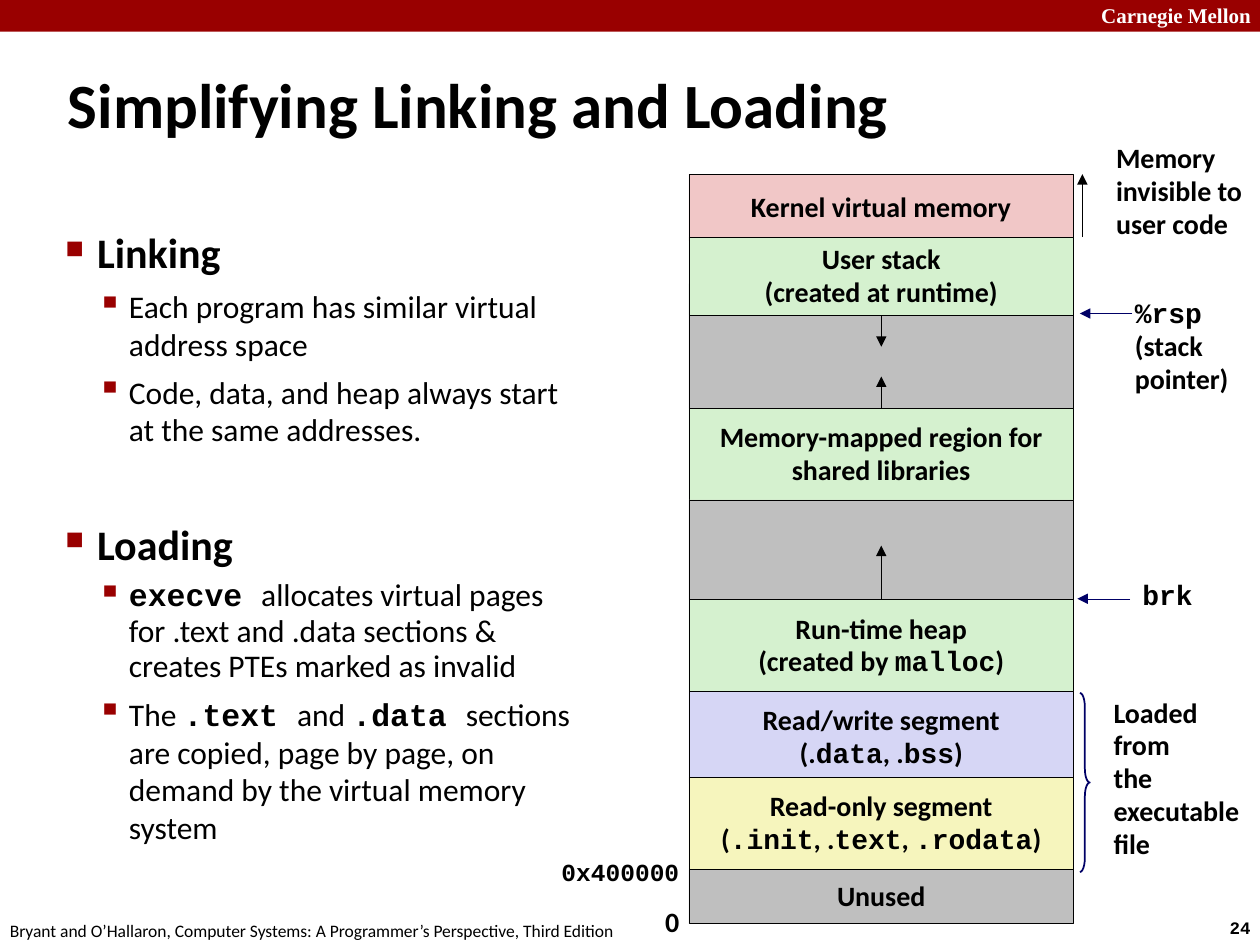
import dataclasses
import typing

import lxml.etree
import pptx
import pptx.dml.color
import pptx.enum.shapes
import pptx.enum.text
import pptx.oxml.ns
import pptx.util

Cm = pptx.util.Cm
Pt = pptx.util.Pt
Align = pptx.enum.text.PP_ALIGN
Anchor = pptx.enum.text.MSO_ANCHOR
Fit = pptx.enum.text.MSO_AUTO_SIZE
Kind = pptx.enum.shapes.MSO_SHAPE


@dataclasses.dataclass(frozen=True)
class Theme:
    sans: str = "Calibri"
    mono: str = "Courier New"
    serif: str = "Times New Roman"
    black: str = "000000"
    white: str = "FFFFFF"
    red: str = "990000"
    navy: str = "000066"
    pink: str = "F1C7C7"
    green: str = "D5F1CF"
    gray: str = "BFBFBF"
    lilac: str = "D6D6F5"
    yellow: str = "F6F5BD"
    title: int = 36
    head: int = 24
    item: int = 18
    label: int = 16
    code: int = 14
    mark: int = 12
    small: int = 10
    hair: float = 0.25
    tight: float = 0.98


THEME = Theme()


class Band(typing.NamedTuple):
    name: str
    top: float
    height: float
    fill: str
    text: str = ""


class Label(typing.NamedTuple):
    text: str
    left: float
    top: float
    width: float
    height: float
    size: int = THEME.label
    bold: bool = True
    font: str = THEME.sans
    tint: str = THEME.black
    gap: float = THEME.tight
    wrap: bool = False


class Arrow(typing.NamedTuple):
    x1: float
    y1: float
    x2: float
    y2: float
    tint: str = THEME.black
    band: str = ""
    site: int = 0


class Point(typing.NamedTuple):
    text: str
    level: int = 1
    space: float = 5.6
    gap: float = 1.0


LEFT, WIDTH = 13.89, 7.75
MID = LEFT + WIDTH / 2

BANDS = [
    Band("kernel", 3.51, 1.35, THEME.pink, "Kernel virtual memory"),
    Band("gap", 5.72, 2.51, THEME.gray),
    Band("stack", 4.78, 1.57, THEME.green, "User stack\n(created at runtime)"),
    Band("shared", 8.23, 1.85, THEME.green, "Memory-mapped region for\nshared libraries"),
    Band("room", 10.08, 2.01, THEME.gray),
    Band("heap", 12.09, 1.85, THEME.green, "Run-time heap\n(created by `malloc`)"),
    Band("data", 13.94, 1.85, THEME.lilac, "Read/write segment\n(.`data`, .`bss`)"),
    Band("code", 15.67, 1.85, THEME.yellow, "Read-only segment\n(`.init`, .`text`, `.rodata`)"),
    Band("unused", 17.53, 1.09, THEME.gray, "Unused"),
]

LABELS = [
    Label("Carnegie Mellon", 21.95, -0.08, 3.63, 0.76, THEME.mark,
          font=THEME.serif, tint=THEME.white, gap=1.0, wrap=True),
    Label("24", 24.54, 18.36, 1.14, 0.69, THEME.small, font=THEME.mono, gap=1.0),
    Label("Bryant and O’Hallaron, Computer Systems: A Programmer’s Perspective, Third Edition",
          -0.05, 18.42, 12.9, 0.69, THEME.small, False, gap=1.0),
    Label("0", 13.16, 18.14, 0.79, 0.94),
    Label("`%rsp`\n(stack\npointer)", 22.63, 5.87, 2.41, 2.24),
    Label("Memory\ninvisible to\nuser code", 22.25, 2.74, 3.2, 2.26),
    Label("brk", 22.78, 11.58, 1.52, 0.91, font=THEME.mono, gap=0.94),
    Label("0x400000", 11.07, 17.2, 2.9, 0.84, THEME.code, font=THEME.mono, gap=0.94),
    Label("Loaded\nfrom\nthe\nexecutable\nfile", 22.2, 13.92, 3.2, 3.61),
]

ARROWS = [
    Arrow(MID, 12.09, MID, 11.0, band="heap", site=0),
    Arrow(MID, 8.23, MID, 7.59, band="shared", site=0),
    Arrow(MID, 6.35, MID, 6.99, band="stack", site=2),
    Arrow(21.82, 4.78, 21.82, 3.51),
    Arrow(22.83, 6.32, 21.77, 6.32, THEME.navy),
    Arrow(22.78, 12.07, 21.72, 12.07, THEME.navy),
]

POINTS = [
    Point("Linking", 0, 0),
    Point("Each program has similar virtual address space"),
    Point("Code, data, and heap always start at the same addresses."),
    Point("Loading", 0, 40),
    Point("`execve `allocates virtual pages for .text and .data sections & "
          "creates PTEs marked as invalid", gap=0.94),
    Point("The `.text `and `.data `sections are copied, page by page, on "
          "demand by the virtual memory system"),
]


def shade(tint: str) -> pptx.dml.color.RGBColor:
    return pptx.dml.color.RGBColor.from_string(tint)


def write(para, text: str, size: int, bold: bool, font: str = THEME.sans,
          tint: str = THEME.black) -> None:
    for spot, part in enumerate(text.split("`")):
        if not part:
            continue
        run = para.add_run()
        run.text = part
        code = spot % 2 == 1
        run.font.name = THEME.mono if code else font
        run.font.size = Pt(size)
        run.font.bold = bold or code
        run.font.color.rgb = shade(tint)


def fill_lines(frame, item: Label, align=Align.LEFT) -> None:
    frame.text = item.text
    for para in frame.paragraphs:
        line = para.text
        para.clear()
        para.alignment = align
        para.line_spacing = item.gap
        write(para, line, item.size, item.bold, item.font, item.tint)


def draw_shape(slide, kind, left: float, top: float, width: float, height: float,
               fill: str = "", line: str = "", weight: float = THEME.hair):
    shape = slide.shapes.add_shape(kind, Cm(left), Cm(top), Cm(width), Cm(height))
    shape.shadow.inherit = False
    if fill:
        shape.fill.solid()
        shape.fill.fore_color.rgb = shade(fill)
    else:
        shape.fill.background()
    if line:
        shape.line.color.rgb = shade(line)
        shape.line.width = Pt(weight)
    else:
        shape.line.fill.background()
    return shape


def draw_band(slide, band: Band):
    place = (LEFT, band.top, WIDTH, band.height)
    shape = draw_shape(slide, Kind.RECTANGLE, *place, band.fill, THEME.black)
    if band.text:
        frame = shape.text_frame
        frame.word_wrap = False
        frame.vertical_anchor = Anchor.MIDDLE
        fill_lines(frame, Label(band.text, *place), Align.CENTER)
    return shape


def draw_label(slide, item: Label):
    box = slide.shapes.add_textbox(Cm(item.left), Cm(item.top), Cm(item.width), Cm(item.height))
    box.text_frame.word_wrap = item.wrap
    box.text_frame.auto_size = Fit.SHAPE_TO_FIT_TEXT
    fill_lines(box.text_frame, item)
    return box


def draw_arrow(slide, item: Arrow, bands: dict) -> None:
    line = slide.shapes.add_connector(pptx.enum.shapes.MSO_CONNECTOR.STRAIGHT,
                                      Cm(item.x1), Cm(item.y1), Cm(item.x2), Cm(item.y2))
    if item.band:
        line.begin_connect(bands[item.band], item.site)
    line.line.color.rgb = shade(item.tint)
    line.line.width = Pt(THEME.hair)
    qn = pptx.oxml.ns.qn
    lxml.etree.SubElement(line.line._get_or_add_ln(), qn("a:tailEnd"), type="triangle")
    lxml.etree.SubElement(line._element.spPr, qn("a:effectLst"))


def add_mark(para, level: int) -> None:
    qn = pptx.oxml.ns.qn
    props = para._p.get_or_add_pPr()
    props.set("marL", str(Cm(0.64 * (level + 1))))
    props.set("indent", str(Cm(-0.64)))
    tint = lxml.etree.SubElement(props, qn("a:buClr"))
    lxml.etree.SubElement(tint, qn("a:srgbClr"), val=THEME.red)
    lxml.etree.SubElement(props, qn("a:buSzPct"), val=("60000", "110000")[level])
    lxml.etree.SubElement(props, qn("a:buChar"), char="■▪"[level])


def draw_points(slide, points: list[Point]) -> None:
    frame = slide.shapes.add_textbox(Cm(1.07), Cm(4.45), Cm(11.0), Cm(13.28)).text_frame
    frame.word_wrap = True
    frame.text = "\n".join(point.text for point in points)
    for para, point in zip(frame.paragraphs, points):
        para.clear()
        para.level = point.level
        add_mark(para, point.level)
        para.space_before = Pt(point.space)
        para.line_spacing = point.gap
        head = point.level == 0
        write(para, point.text, THEME.head if head else THEME.item, head)


def main() -> None:
    deck = pptx.Presentation()
    deck.slide_width, deck.slide_height = Cm(25.4), Cm(19.05)
    slide = deck.slides.add_slide(deck.slide_layouts[6])
    draw_shape(slide, Kind.RECTANGLE, 0, 0, 25.4, 0.64, THEME.red)
    title = draw_label(slide, Label("Simplifying Linking and Loading", 1.12, 0.99, 23.01, 2.18,
                                    THEME.title, gap=1.0, wrap=True))
    title.text_frame.auto_size = Fit.NONE
    title.text_frame.vertical_anchor = Anchor.MIDDLE
    draw_points(slide, POINTS)
    bands = {band.name: draw_band(slide, band) for band in BANDS}
    for item in LABELS:
        draw_label(slide, item)
    for item in ARROWS:
        draw_arrow(slide, item, bands)
    brace = draw_shape(slide, Kind.RIGHT_BRACE, 21.77, 13.97, 0.2, 3.61, line=THEME.navy, weight=1)
    brace.adjustments[0] = 1.42
    deck.save("out.pptx")


if __name__ == "__main__":
    main()
